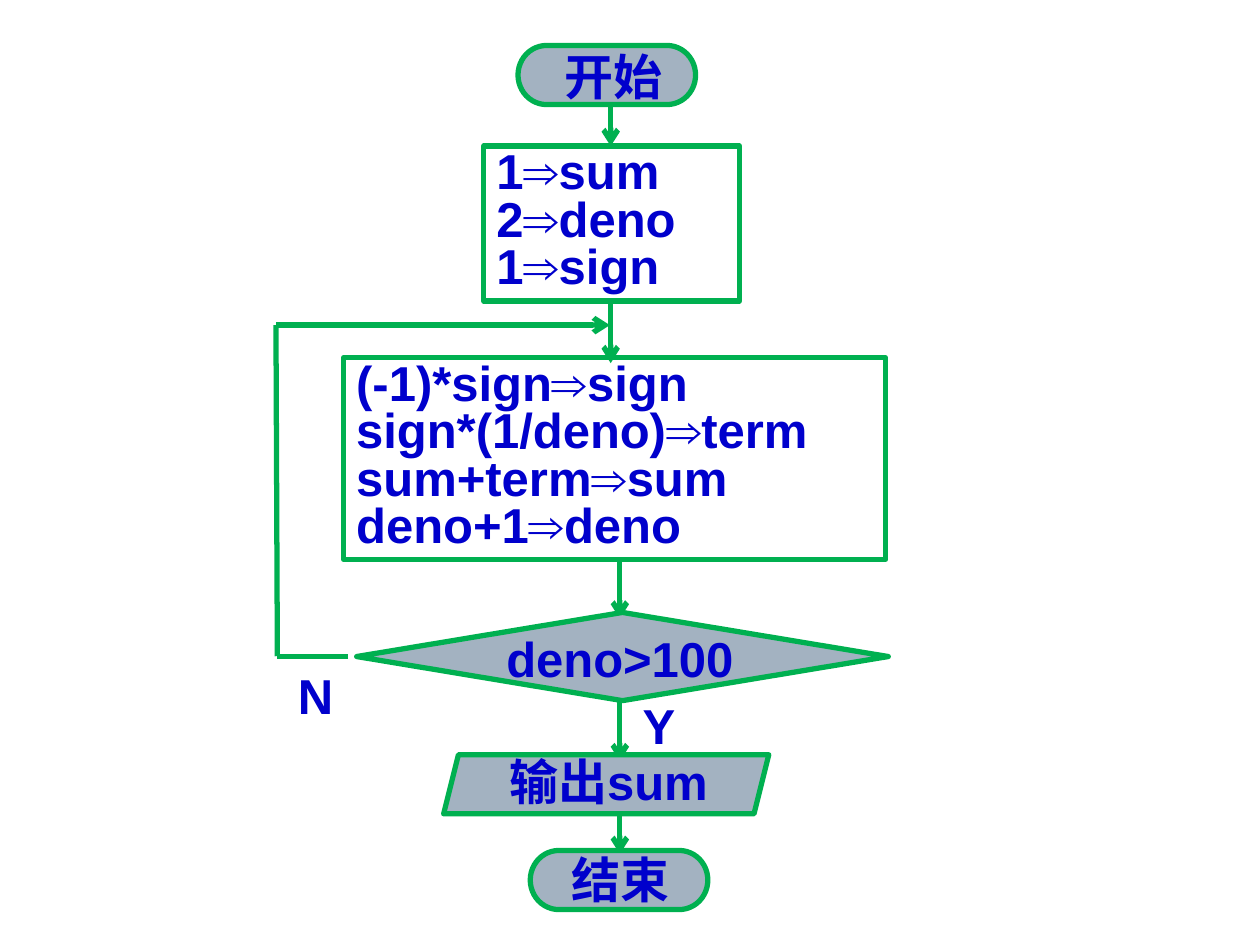
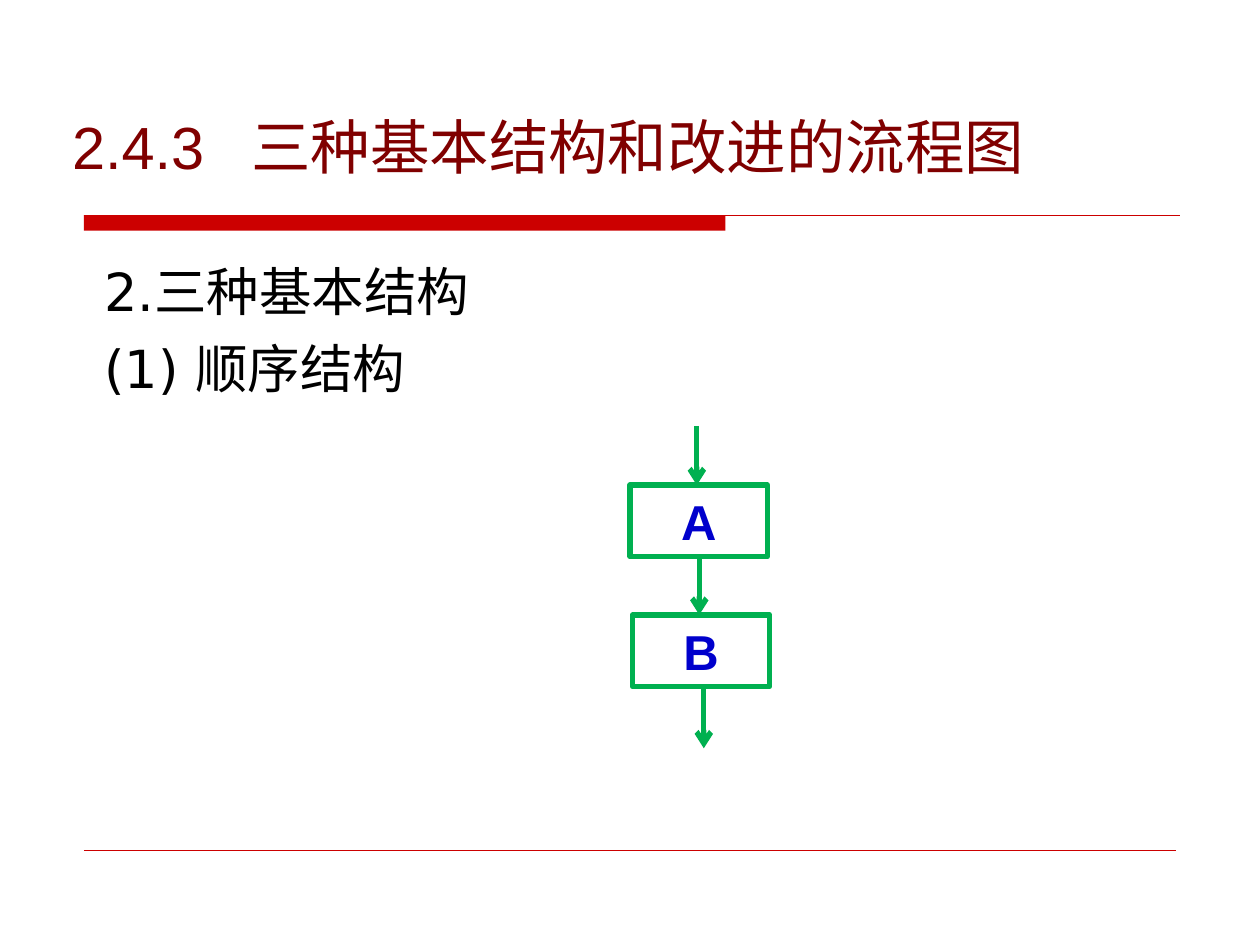
from lxml import etree
from pptx import Presentation
from pptx.dml.color import RGBColor
from pptx.enum.shapes import MSO_CONNECTOR, MSO_SHAPE
from pptx.enum.text import MSO_ANCHOR, MSO_AUTO_SIZE, PP_ALIGN
from pptx.oxml.ns import qn
from pptx.util import Pt

LINE = MSO_CONNECTOR.STRAIGHT
RECT = MSO_SHAPE.RECTANGLE
TEST = MSO_SHAPE.FLOWCHART_DECISION
DATA = MSO_SHAPE.PARALLELOGRAM
PILL = MSO_SHAPE.FLOWCHART_TERMINATOR
TOP, MID = MSO_ANCHOR.TOP, MSO_ANCHOR.MIDDLE
LEFT, MIDDLE = PP_ALIGN.LEFT, PP_ALIGN.CENTER
FIXED = MSO_AUTO_SIZE.NONE

COLORS = {"flow": "00B050", "node": "A3B2C1", "label": "0000CC",
          "band": "CC0000", "title": "800000", "body": "000000"}
LABEL_H = 41


def color(name):
    return RGBColor.from_string(COLORS[name])


def write(frame, text, size=28, ink="label", face="Arial", bold=True,
          align=LEFT, pitch=None, gap=0):
    """Fill a text frame; pitch is the line spacing, gap the space between paragraphs."""
    frame.text = text
    frame.word_wrap = True
    frame.auto_size = FIXED
    for i, para in enumerate(frame.paragraphs):
        para.alignment = align
        if pitch:
            para.line_spacing = Pt(pitch)
        para.space_before = Pt(gap if i else 0)
        for run in para.runs:
            font = run.font
            font.name, font.size, font.bold = face, Pt(size), bold
            font.color.rgb = color(ink)


def label(tree, text, x, y, w, h=LABEL_H, **style):
    box = tree.add_textbox(Pt(x), Pt(y), Pt(w), Pt(h))
    write(box.text_frame, text, **style)


def outline(tree, kind, x, y, w, h, fill=None, edge="flow"):
    """Add a preset shape, hollow unless a fill is named."""
    shape = tree.add_shape(kind, Pt(x), Pt(y), Pt(w), Pt(h))
    shape.shadow.inherit = False
    if fill:
        shape.fill.solid()
        shape.fill.fore_color.rgb = color(fill)
    else:
        shape.fill.background()
    if edge:
        shape.line.color.rgb = color(edge)
        shape.line.width = Pt(3)
    else:
        shape.line.fill.background()
    return shape


def step(tree, text, x, y, w, h, **style):
    """Add a hollow box that holds its own text."""
    frame = outline(tree, RECT, x, y, w, h).text_frame
    frame.vertical_anchor = TOP
    write(frame, text, **style)


def node(tree, kind, place, text, spot, align=MIDDLE):
    """Group a filled shape with the label laid over it."""
    parts = tree.add_group_shape().shapes
    outline(parts, kind, *place, fill="node")
    label(parts, text, *spot, align=align)


def line(tree, x1, y1, x2, y2, ink="flow", width=3, head=False):
    link = tree.add_connector(LINE, Pt(x1), Pt(y1), Pt(x2), Pt(y2))
    link.line.color.rgb = color(ink)
    link.line.width = Pt(width)
    props = link._element.spPr
    if head:
        etree.SubElement(props.find(qn("a:ln")), qn("a:tailEnd"), type="arrow")
    etree.SubElement(props, qn("a:effectLst"))


def drop(tree, x, y1, y2):
    line(tree, x, y1, x, y2, head=True)


def add_title(slide, text, tab):
    """Style the title; tab places the words after the section number."""
    title = slide.shapes.title
    title.left, title.top, title.width, title.height = Pt(34), Pt(59), Pt(658), Pt(48)
    frame = title.text_frame
    frame.vertical_anchor = MID
    write(frame, text, size=34, ink="title", bold=False)
    props = frame.paragraphs[0]._p.get_or_add_pPr()
    stops = etree.SubElement(props, qn("a:tabLst"))
    etree.SubElement(stops, qn("a:tab"), pos=str(Pt(tab)), algn="l")


def add_bands(tree):
    outline(tree, RECT, 48, 123, 366.5, 8.8, fill="band", edge=None)
    line(tree, 48, 123, 674.5, 123, ink="band", width=0.75)
    line(tree, 48, 486, 672, 486, ink="band", width=0.25)


def sum_chart(slide):
    tree = slide.shapes
    for x, y1, y2 in ((349, 61, 83.5), (349, 173.5, 207.5),
                      (354.2, 319.7, 353.5), (354.2, 401, 435),
                      (354.2, 466, 488)):
        drop(tree, x, y1, y2)
    line(tree, 199, 375, 158.5, 375)
    line(tree, 158.5, 375, 157.7, 185.8)
    line(tree, 157.7, 185.8, 348.5, 185.8, head=True)

    step(tree, "1⇒sum\n2⇒deno\n1⇒sign", 276.5, 83.5, 146, 88.5, pitch=27)
    step(tree, "(-1)*sign⇒sign\nsign*(1/deno)⇒term\nsum+term⇒sum\ndeno+1⇒deno",
         196.5, 204.5, 309.6, 115.2, pitch=27)
    label(tree, "N", 157.7, 376.5, 45.4, align=MIDDLE)
    label(tree, "Y", 354.2, 394, 44.6, align=MIDDLE)

    node(tree, TEST, (203.8, 350, 303.8, 50.4), "deno>100", (258.5, 355.7, 191.5))
    node(tree, DATA, (253.5, 431.3, 185.8, 33.8), "输出sum", (260.6, 426.2, 174.2))
    node(tree, PILL, (303, 486, 101.5, 33.8), "结束", (319.7, 481.7, 73.4), LEFT)
    node(tree, PILL, (296, 26, 101.5, 33.8), "开始", (315.4, 23, 73.4), LEFT)


def sequence(slide):
    tree = slide.shapes
    add_bands(tree)
    add_title(slide, "2.4.3\t三种基本结构和改进的流程图", 102.5)
    label(tree, "2.三种基本结构\n(1) 顺序结构", 52.5, 144.7, 602, 112.3,
          size=30, ink="body", face="DejaVu Sans", bold=False, gap=7.5)
    for x, y in ((398.2, 243.4), (399.6, 317.5), (402.2, 393.8)):
        drop(tree, x, y, y + 33.8)
    for name, x, y in (("A", 360, 277.2), ("B", 361.4, 351.4)):
        step(tree, name, x, y, 78.5, LABEL_H, align=MIDDLE)


def main():
    deck = Presentation()
    deck.slide_width, deck.slide_height = Pt(720), Pt(540)
    plain, titled = deck.slide_layouts[6], deck.slide_layouts[5]
    sum_chart(deck.slides.add_slide(plain))
    sequence(deck.slides.add_slide(titled))
    deck.save("out.pptx")


if __name__ == "__main__":
    main()
